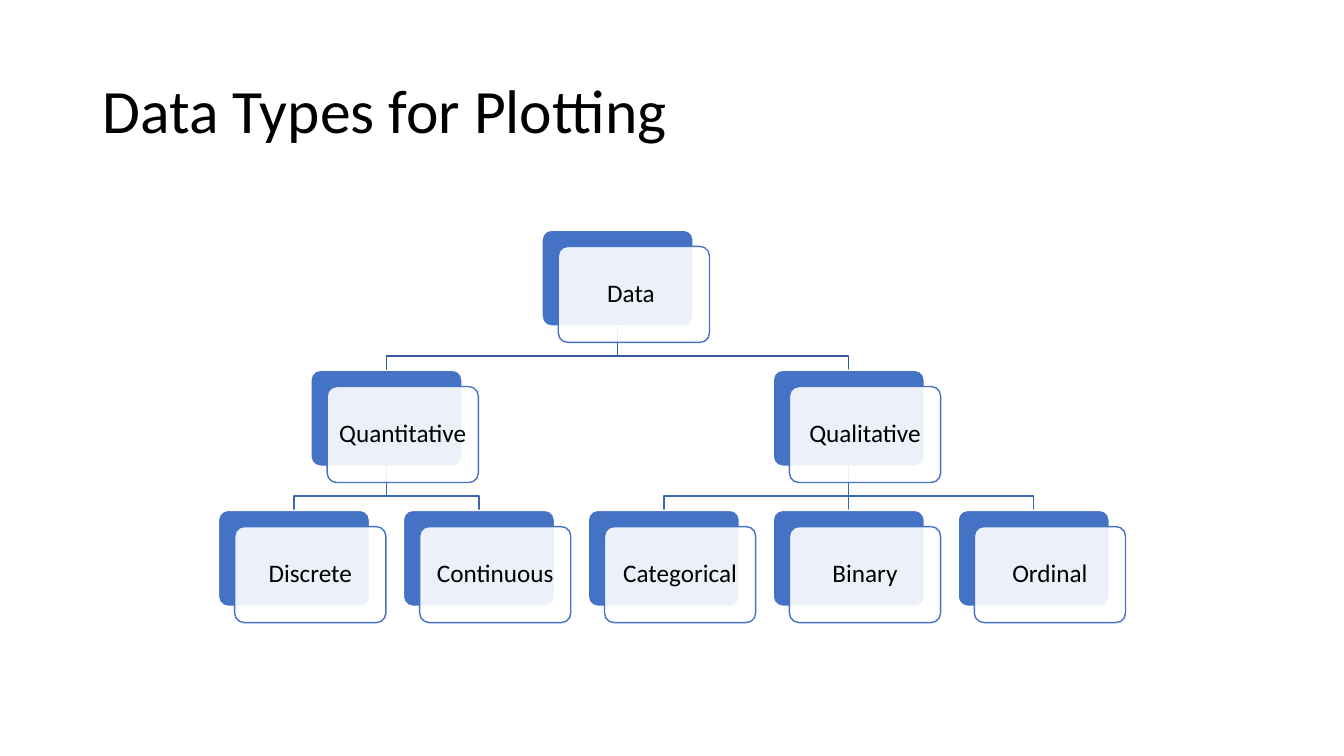
from dataclasses import dataclass
from typing import Any

from lxml import etree
from pptx import Presentation
from pptx import util as u
from pptx.dml import color
from pptx.enum import shapes, text
from pptx.oxml import ns


@dataclass(frozen=True)
class Theme:
    font: str = "Calibri"
    ink: str = "000000"
    blue: str = "4472C4"
    white: str = "FFFFFF"
    links: tuple[str, ...] = ("365B9D", "3E67B2")  # one per parent level
    head: int = 44
    body: int = 18
    line: int = 1


@dataclass(frozen=True)
class Node:
    label: str
    col: float  # in steps between leaves
    kids: tuple["Node", ...] = ()


def leaf(label: str, col: int) -> Node:
    return Node(label, col)


def branch(label: str, *kids: Node) -> Node:
    """A parent stands midway between its outer children."""
    return Node(label, (kids[0].col + kids[-1].col) / 2, kids)


THEME = Theme()
TREE = branch(
    "Data ",
    branch("Quantitative", leaf("Discrete", 0), leaf("Continuous", 1)),
    branch("Qualitative", leaf("Categorical", 2), leaf("Binary", 3), leaf("Ordinal", 4)),
)

# Grid of the tree
MID, TOP = u.Cm(7.41), u.Cm(5.8)
STEP, DROP = u.Cm(4.66), u.Cm(3.53)
WIDE, HIGH = u.Cm(3.81), u.Cm(2.42)
SHIFT, BEND, INSET = u.Cm(0.41), u.Cm(0.36), u.Cm(0.18)


def rgb(code: str) -> color.RGBColor:
    return color.RGBColor.from_string(code)


def apply(item: Any, form: dict[str, Any]) -> None:
    for key, val in form.items():
        setattr(item, key, val)


def stroke(shape: Any, code: str) -> None:
    shape.line.color.rgb = rgb(code)
    shape.line.width = u.Pt(THEME.line)


def write(shape: Any, words: str, size: int, align: Any, frame: dict[str, Any]) -> None:
    box = shape.text_frame
    box.text = words
    apply(box, {"word_wrap": True, "vertical_anchor": text.MSO_ANCHOR.MIDDLE, **frame})
    para = box.paragraphs[0]
    apply(para, {"alignment": align, "line_spacing": 0.9})
    font = para.runs[0].font
    apply(font, {"name": THEME.font, "size": u.Pt(size)})
    font.color.rgb = rgb(THEME.ink)


def place(node: Node, level: int) -> tuple[int, int]:
    """Top centre of a node's rear card."""
    return round(MID + node.col * STEP), TOP + level * DROP


def link(slide: Any, node: Node, kid: Node, level: int) -> None:
    x, y = place(node, level)
    y += HIGH
    end, low = place(kid, level + 1)
    if x == end:
        wire = slide.shapes.add_connector(shapes.MSO_CONNECTOR.STRAIGHT, x, y, end, low)
        etree.SubElement(wire._element.spPr, ns.qn("a:effectLst"))
    else:
        path = slide.shapes.build_freeform(x, y)
        path.add_line_segments([(x, low - BEND), (end, low - BEND), (end, low)], close=False)
        wire = path.convert_to_shape()
        wire.fill.background()
        wire.shadow.inherit = False
    stroke(wire, THEME.links[level])


def card(slide: Any, x: int, y: int, fill: str, edge: str) -> Any:
    shape = slide.shapes.add_shape(shapes.MSO_SHAPE.ROUNDED_RECTANGLE, x, y, WIDE, HIGH)
    shape.adjustments[0] = 0.1
    shape.shadow.inherit = False
    shape.fill.solid()
    shape.fill.fore_color.rgb = rgb(fill)
    stroke(shape, edge)
    return shape


def fade(shape: Any, percent: int) -> None:
    tint = shape._element.spPr.find(ns.qn("a:solidFill"))[0]
    etree.SubElement(tint, ns.qn("a:alpha"), val=str(percent * 1000))


def wires(slide: Any, node: Node, level: int = 0) -> None:
    for kid in node.kids:
        wires(slide, kid, level + 1)
        link(slide, node, kid, level)


def cards(slide: Any, node: Node, level: int = 0) -> None:
    x, y = place(node, level)
    x -= WIDE // 2
    card(slide, x, y, THEME.blue, THEME.white)
    front = card(slide, x + SHIFT, y + SHIFT, THEME.white, THEME.blue)
    fade(front, 90)
    sides = ("left", "top", "right", "bottom")
    write(front, node.label, THEME.body, text.PP_ALIGN.CENTER,
          {f"margin_{side}": INSET for side in sides})
    for kid in node.kids:
        cards(slide, kid, level + 1)


# Slide and title
deck = Presentation()
apply(deck, {"slide_width": u.Cm(33.87), "slide_height": u.Cm(19.05)})
slide = deck.slides.add_slide(deck.slide_layouts[5])
title = slide.shapes.title
apply(title, {"left": u.Cm(2.33), "top": u.Cm(1.02),
              "width": u.Cm(29.21), "height": u.Cm(3.68)})
write(title, "Data Types for Plotting", THEME.head, text.PP_ALIGN.LEFT, {})

# Tree: lines behind, cards in front
wires(slide, TREE)
cards(slide, TREE)

deck.save("out.pptx")
